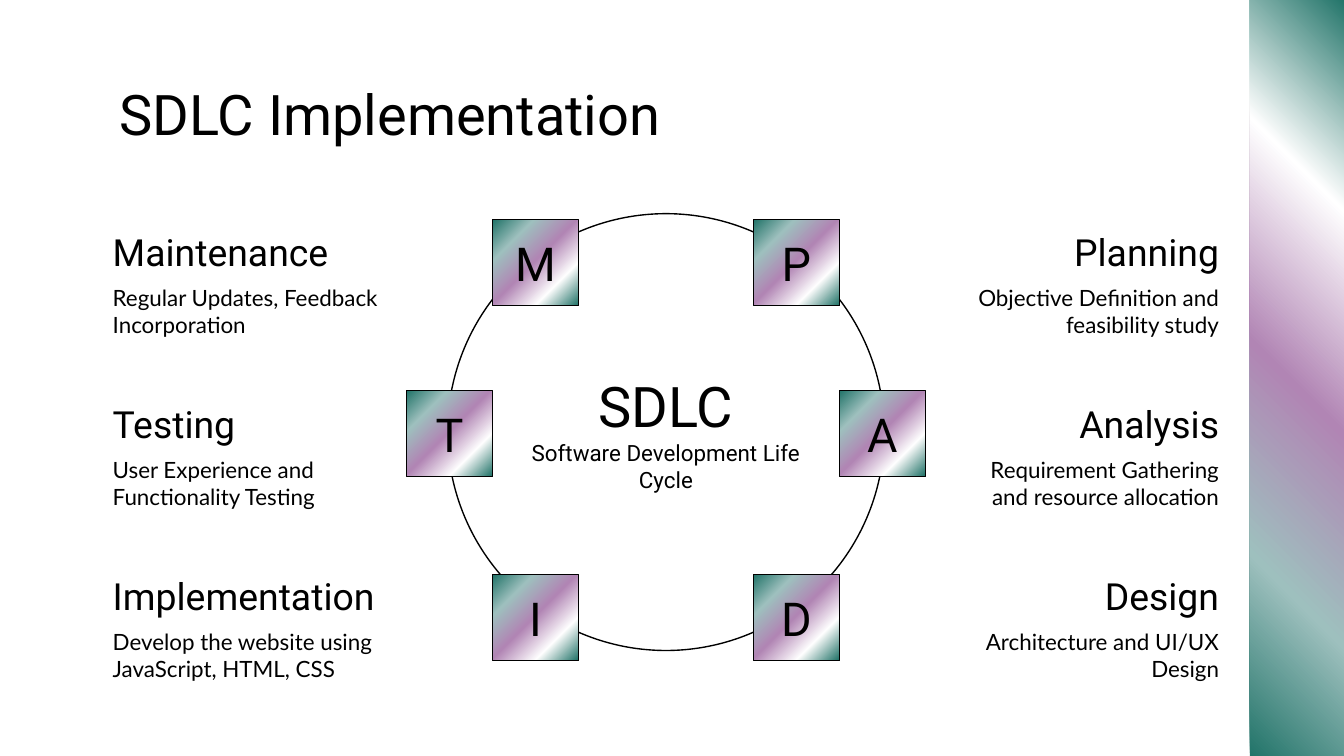
from lxml.etree import SubElement
from pptx import Presentation
from pptx.dml.color import RGBColor
from pptx.enum.shapes import MSO_SHAPE
from pptx.enum.text import MSO_ANCHOR, MSO_AUTO_SIZE, PP_ALIGN
from pptx.oxml.ns import qn
from pptx.util import Inches, Pt

WIDE = 10
HIGH = WIDE * 9 / 16
INK, PAPER = "000000", "FFFFFF"
STOPS = [(0, "207368"), (24, "9EC0BE"), (49, "B185B4"), (75, "FFFFFF"), (100, "207368")]
LEFT, MID, RIGHT = PP_ALIGN.LEFT, PP_ALIGN.CENTER, PP_ALIGN.RIGHT
TOP, BASE = MSO_ANCHOR.TOP, MSO_ANCHOR.BOTTOM

# heading, detail, heading width, detail width
LEFT_STEPS = [
    ("Maintenance", "Regular Updates, Feedback Incorporation", 2.35, 2.35),
    ("Testing", "User Experience and Functionality Testing", 2.35, 2.35),
    ("Implementation", "Develop the website using JavaScript, HTML, CSS", 2.52, 2.35),
]
RIGHT_STEPS = [
    ("Planning", "Objective Definition and feasibility study", 2.35, 2.35),
    ("Analysis", "Requirement Gathering and resource allocation", 2.35, 2.11),
    ("Design", "Architecture and UI/UX Design", 2.35, 2.35),
]
# letter pair and its distance across and down from the ring's centre
TILES = [("MP", 0.97, -1.26), ("TA", 1.61, 0.01), ("ID", 0.97, 1.38)]


def tint(hue):
    return RGBColor.from_string(hue)


def place(item, box):
    item.left, item.top, item.width, item.height = map(Inches, box)


def write(item, *lines, size=12, font="Roboto", align=LEFT, anchor=MSO_ANCHOR.MIDDLE, pad=0.05):
    """Fill a shape with lines; a line is text or a (text, size) pair."""
    frame = item.text_frame
    frame.word_wrap = True
    frame.auto_size = MSO_AUTO_SIZE.NONE
    frame.vertical_anchor = anchor
    frame.margin_left = frame.margin_right = Inches(0.1)
    frame.margin_top = frame.margin_bottom = Inches(pad)
    for i, line in enumerate(lines):
        text, points = line if isinstance(line, tuple) else (line, size)
        para = frame.paragraphs[0] if i == 0 else frame.add_paragraph()
        para.alignment = align
        run = para.add_run()
        run.text = text
        run.font.size, run.font.name = Pt(points), font
        run.font.color.rgb = tint(INK)


def blend(item):
    """Give a shape the diagonal theme gradient."""
    item.fill.gradient()
    item.fill.gradient_angle = 315
    stops = item._element.spPr.find(qn("a:gradFill")).find(qn("a:gsLst"))
    for stop in list(stops):
        stops.remove(stop)
    for share, hue in STOPS:
        stop = SubElement(stops, qn("a:gs"), pos=str(share * 1000))
        SubElement(stop, qn("a:srgbClr"), val=hue)


def shape(slide, kind, box, fill=None, line=INK):
    item = slide.shapes.add_shape(kind, *map(Inches, box))
    item.shadow.inherit = False
    if fill:
        item.fill.solid()
        item.fill.fore_color.rgb = tint(fill)
    else:
        blend(item)
    if line:
        item.line.color.rgb = tint(line)
        item.line.width = Pt(0.75)
    else:
        item.line.fill.background()
    return item


def label(slide, box, text, **style):
    write(slide.shapes.add_textbox(*map(Inches, box)), text, **style)


def band(slide, box):
    item = shape(slide, MSO_SHAPE.RECTANGLE, box, line=None)
    item.rotation = 180
    item._element.spPr.find(qn("a:xfrm")).set("flipH", "1")


def head(slide, box, text):
    title = slide.shapes.title
    place(title, box)
    write(title, text, size=30, anchor=TOP, pad=0.1)


def cycle(slide, box):
    """Draw the ring with its six lettered tiles."""
    x, y, w, h = box
    ring = shape(slide, MSO_SHAPE.OVAL, box, fill=PAPER)
    write(ring, ("SDLC", 30), "Software Development Life Cycle", align=MID)
    side = 0.64
    for pair, across, down in TILES:
        for letter, sign in zip(pair, (-1, 1)):
            left = x + w / 2 + sign * across - side / 2
            top = y + h / 2 + down - side / 2
            tile = shape(slide, MSO_SHAPE.RECTANGLE, (left, top, side, side))
            write(tile, letter, size=25, align=MID)


def column(slide, box, steps, align):
    """Stack the steps in equal rows, flush to the aligned edge."""
    x, y, w, h = box
    row = h / len(steps)
    shift = 1 if align == RIGHT else 0
    for i, (name, detail, wide, slim) in enumerate(steps):
        top = y + i * row
        label(slide, (x + shift * (w - slim), top + row * 0.33, slim, row * 0.45), detail,
              font="Lato", align=align, anchor=TOP)
        label(slide, (x + shift * (w - wide), top, wide, row * 0.39), name,
              size=20, align=align, anchor=BASE, pad=0.1)


def main():
    deck = Presentation()
    deck.slide_width, deck.slide_height = Inches(WIDE), Inches(HIGH)
    slide = deck.slides.add_slide(deck.slide_layouts[5])
    slide.background.fill.solid()
    slide.background.fill.fore_color.rgb = tint(PAPER)
    band(slide, (9.3, -0.03, 0.7, 5.68))
    head(slide, (0.79, 0.49, 8.43, 0.63), "SDLC Implementation")
    cycle(slide, (3.33, 1.59, 3.25, 3.25))
    column(slide, (0.74, 1.64, 2.35, 3.84), LEFT_STEPS, LEFT)
    column(slide, (6.82, 1.64, 2.35, 3.84), RIGHT_STEPS, RIGHT)
    deck.save("out.pptx")


if __name__ == "__main__":
    main()
